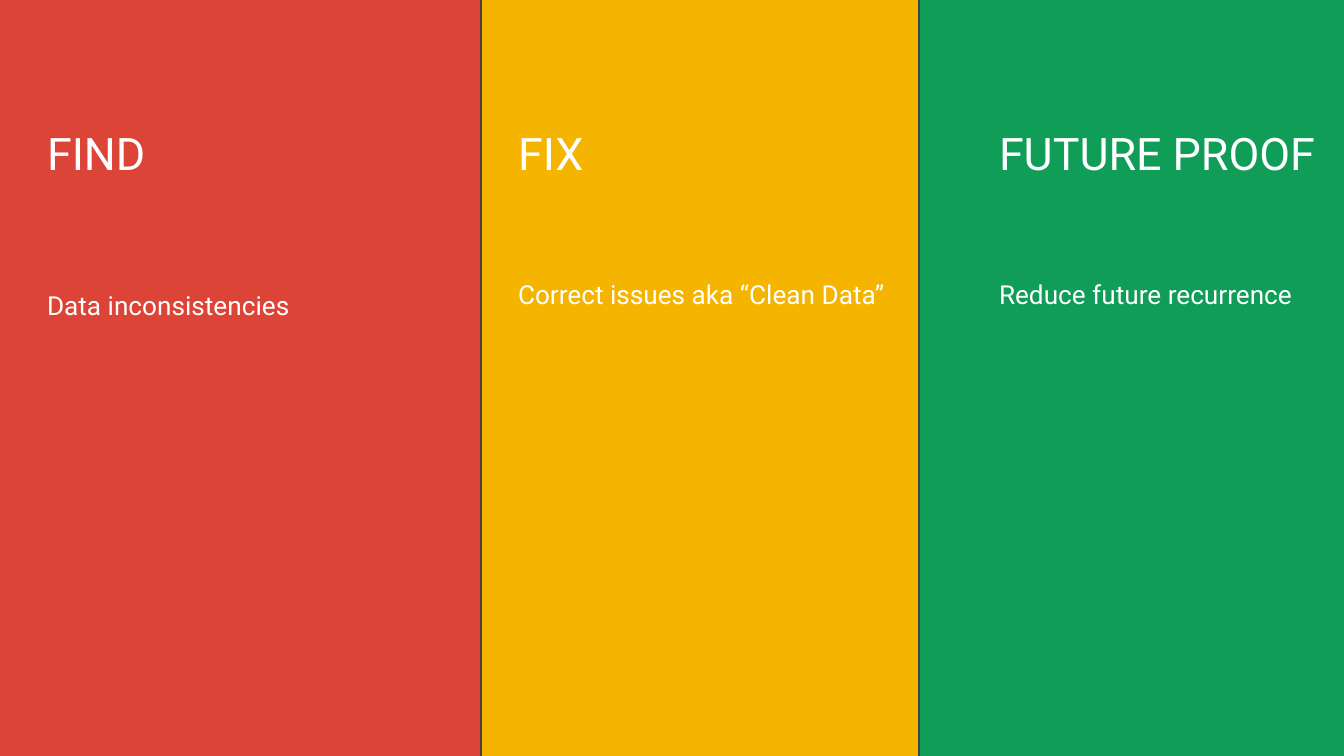
from copy import deepcopy

from lxml import etree
from pptx import Presentation
from pptx.dml.color import RGBColor
from pptx.enum import shapes, text
from pptx.oxml.ns import qn
from pptx.util import Pt

PX = 914400 / 134.4  # EMU per px
COLORS = {
    "background": "FAFAFA",
    "find": "DB4437",
    "fix": "F4B400",
    "future": "0F9D58",
    "outline": "424242",
    "words": "FFFFFF",
}
PANEL_TOP, PANEL_HEIGHT = -31, 849
TEXT_WIDTH, INSET = 413, 13
HEADING_TOP, HEADING_HEIGHT = 83, 140  # from the panel top
DETAIL_TOP, DETAIL_HEIGHT = 292, 465

# color, panel left, panel width, text indent, heading, detail, detail line spacing
COLUMNS = [
    ("find", -1, 482, 35, "FIND", "Data inconsistencies", 1.5),
    ("fix", 481, 446, 24, "FIX", "Correct issues aka “Clean Data”", 1.15),
    ("future", 919, 482, 67, "FUTURE PROOF", "Reduce future recurrence", 1.15),
]


def emu(*lengths):
    return [round(length * PX) for length in lengths]


def rgb(name):
    return RGBColor.from_string(COLORS[name])


def add_panel(slide, box, color):
    panel = slide.shapes.add_shape(shapes.MSO_SHAPE.RECTANGLE, *emu(*box))
    panel.shadow.inherit = False
    panel.fill.solid()
    panel.fill.fore_color.rgb = rgb(color)
    panel.line.color.rgb = rgb("outline")
    panel.line.width = Pt(0.75)


def add_words(slide, placeholder, box, words, size, anchor, spacing, after):
    """Fill a fresh instance of a template placeholder, placed in front."""
    element = deepcopy(placeholder.element)
    element.nvSpPr.cNvPr.id = len(slide.shapes) + 2
    slide.shapes._spTree.append(element)
    holder = slide.shapes[-1]
    holder.left, holder.top, holder.width, holder.height = emu(*box)

    frame = holder.text_frame
    frame.word_wrap = True
    frame.auto_size = text.MSO_AUTO_SIZE.NONE
    frame.vertical_anchor = anchor
    inset, = emu(INSET)
    frame.margin_left = frame.margin_right = inset
    frame.margin_top = frame.margin_bottom = inset
    frame.text = words

    line = frame.paragraphs[0]
    properties = line._p.get_or_add_pPr()
    properties.set("marL", "0")
    properties.set("indent", "0")
    etree.SubElement(properties, qn("a:buNone"))
    line.alignment = text.PP_ALIGN.LEFT
    line.line_spacing = spacing
    line.space_before, line.space_after = Pt(0), Pt(after)
    line.font.name = "Roboto"
    line.font.size = Pt(size)
    line.font.color.rgb = rgb("words")


def add_column(slide, title, body, box, color, indent, heading, detail, spacing):
    left, top, _, _ = box
    add_panel(slide, box, color)
    add_words(slide, title,
              (left + indent, top + HEADING_TOP, TEXT_WIDTH, HEADING_HEIGHT),
              heading, 24, text.MSO_ANCHOR.BOTTOM, 1.0, 0)
    add_words(slide, body,
              (left + indent, top + DETAIL_TOP, TEXT_WIDTH, DETAIL_HEIGHT),
              detail, 14, text.MSO_ANCHOR.TOP, spacing, 16)


def main():
    deck = Presentation()
    deck.slide_width, deck.slide_height = emu(1344, 756)
    slide = deck.slides.add_slide(deck.slide_layouts[1])
    slide.background.fill.solid()
    slide.background.fill.fore_color.rgb = rgb("background")

    # Three columns, each with its own title and body
    title, body = slide.placeholders
    for color, left, width, indent, heading, detail, spacing in COLUMNS:
        add_column(slide, title, body, (left, PANEL_TOP, width, PANEL_HEIGHT),
                   color, indent, heading, detail, spacing)

    # The empty template placeholders are no longer needed
    for placeholder in (title, body):
        slide.shapes._spTree.remove(placeholder.element)

    deck.save("out.pptx")


if __name__ == "__main__":
    main()
